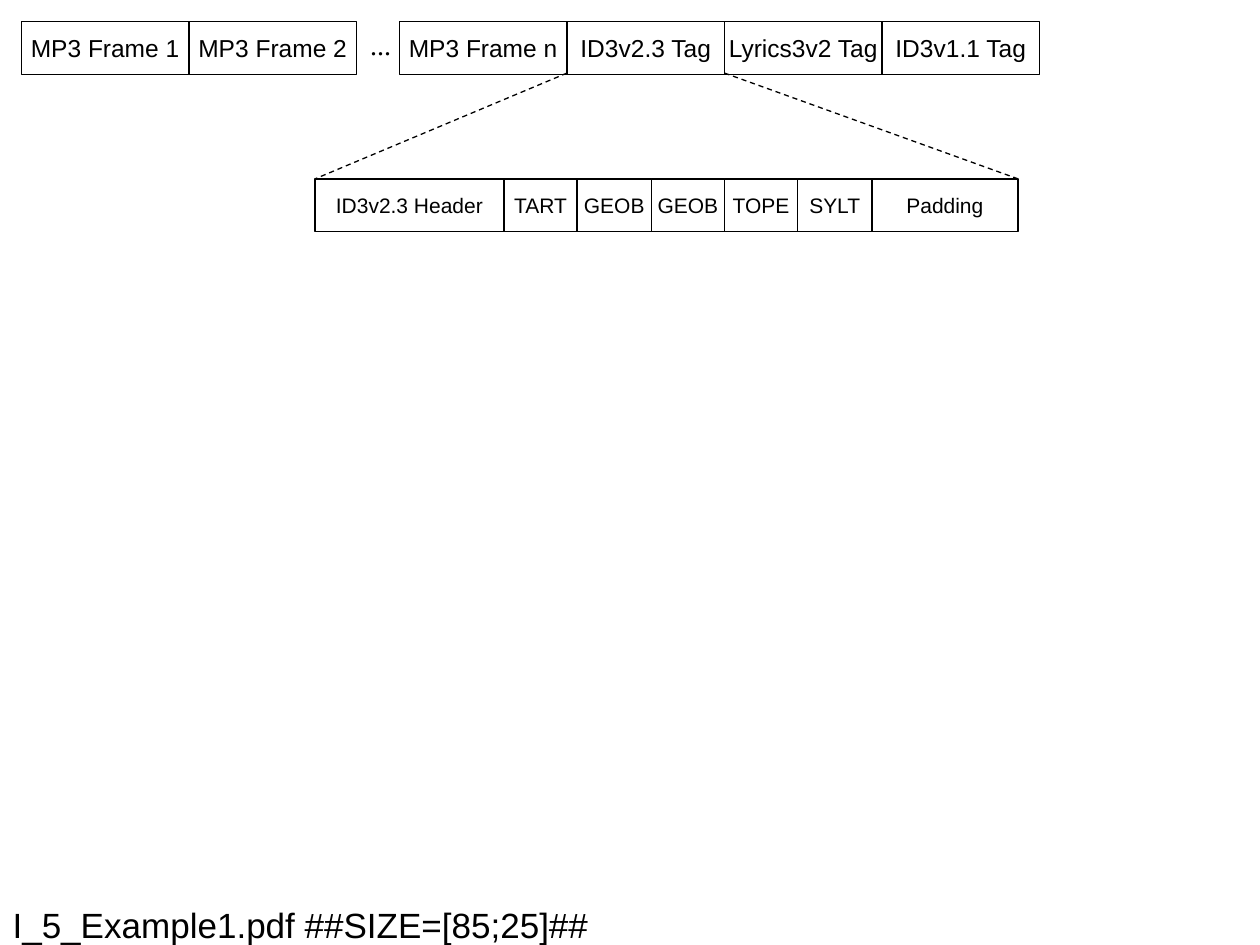
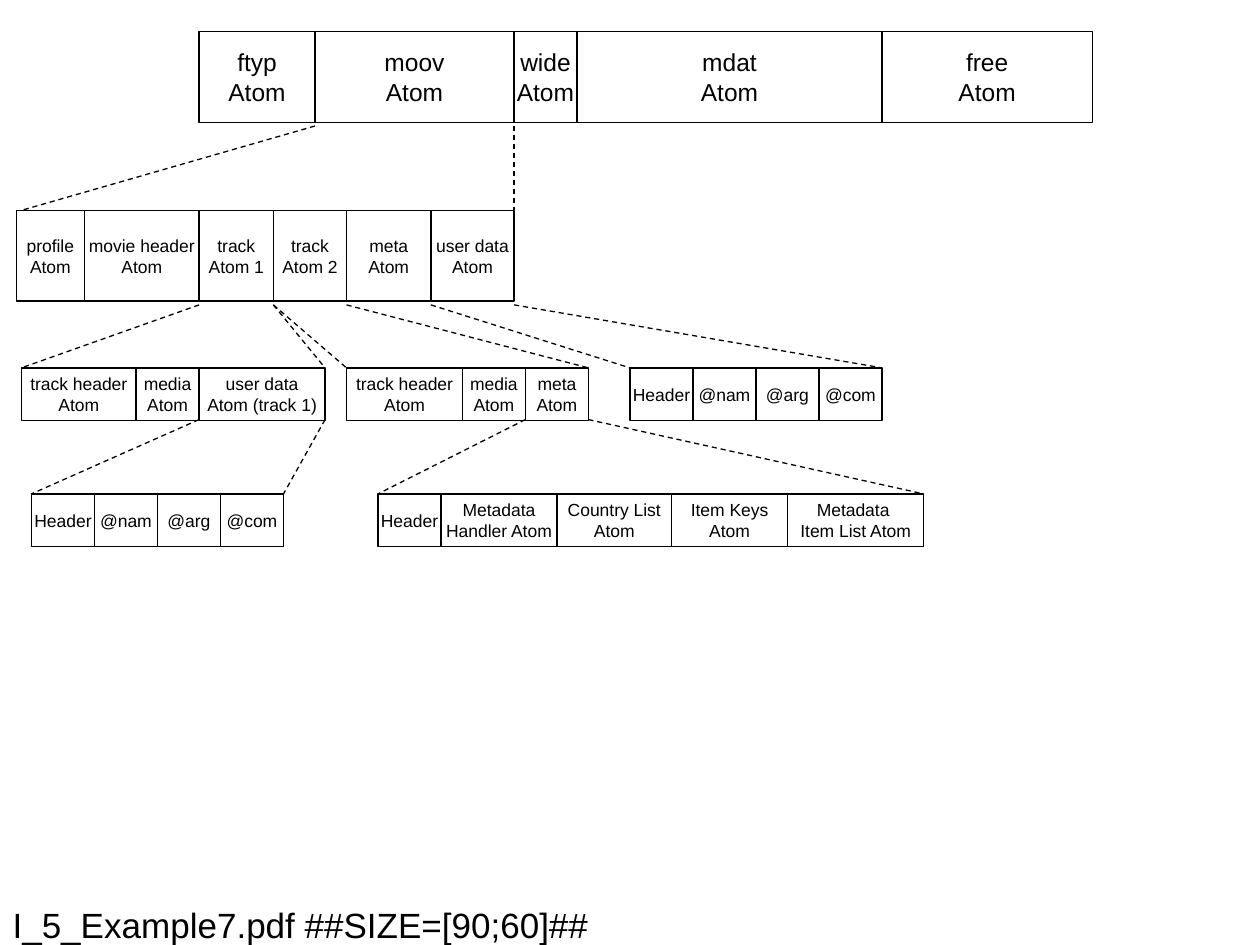
from dataclasses import dataclass
from typing import Optional

import pptx
import pptx.dml.color
import pptx.enum.dml
import pptx.enum.shapes
import pptx.enum.text
import pptx.oxml.ns
import pptx.util
from lxml import etree
from pptx.util import Inches

COLORS = {"ink": "000000"}
FONT = "Arial"
ELLIPSIS_FONT = "Times New Roman"
LINE_WIDTH = pptx.util.Pt(0.75)
INK = pptx.dml.color.RGBColor.from_string(COLORS["ink"])


@dataclass
class Row:
    """A run of adjoining cells; edges holds one x more than there are labels."""
    top: float
    height: float
    size: int
    edges: list[float]
    labels: list[str]


@dataclass
class Zoom:
    """Dashed lines that open one cell of a row into a whole row below."""
    parent: Row
    cell: int
    child: Row
    start_y: float
    child_left: Optional[float] = None


def style_font(p, size: int, name: str = FONT) -> None:
    p.font.size = pptx.util.Pt(size)
    p.font.name = name
    p.font.color.rgb = INK


def add_titled_slide(prs, title: str):
    s = prs.slides.add_slide(prs.slide_layouts[5])
    sp = s.shapes.title
    sp.left, sp.top, sp.width, sp.height = Inches(0), Inches(7.17), Inches(8.5), Inches(0.33)
    tf = sp.text_frame
    tf.auto_size = pptx.enum.text.MSO_AUTO_SIZE.NONE
    tf.vertical_anchor = pptx.enum.text.MSO_ANCHOR.MIDDLE
    p = tf.paragraphs[0]
    p.text = title
    p.alignment = pptx.enum.text.PP_ALIGN.LEFT
    style_font(p, 20)
    return s


def draw_row(s, row: Row) -> None:
    for label, left, right in zip(row.labels, row.edges, row.edges[1:]):
        sp = s.shapes.add_shape(pptx.enum.shapes.MSO_SHAPE.RECTANGLE, Inches(left),
                                Inches(row.top), Inches(right - left), Inches(row.height))
        sp.shadow.inherit = False
        sp.fill.background()
        sp.line.color.rgb = INK
        sp.line.width = LINE_WIDTH
        tf = sp.text_frame
        tf.word_wrap = False
        tf.vertical_anchor = pptx.enum.text.MSO_ANCHOR.MIDDLE
        p = tf.paragraphs[0]
        p.text = label
        p.alignment = pptx.enum.text.PP_ALIGN.CENTER
        style_font(p, row.size)


def draw_zoom(s, zoom: Zoom) -> None:
    child_left = zoom.child.edges[0] if zoom.child_left is None else zoom.child_left
    starts = zoom.parent.edges[zoom.cell:zoom.cell + 2]
    for start_x, end_x in zip(starts, (child_left, zoom.child.edges[-1])):
        line = s.shapes.add_connector(pptx.enum.shapes.MSO_CONNECTOR.STRAIGHT,
                                      Inches(start_x), Inches(zoom.start_y),
                                      Inches(end_x), Inches(zoom.child.top))
        line.line.color.rgb = INK
        line.line.width = LINE_WIDTH
        line.line.dash_style = pptx.enum.dml.MSO_LINE.DASH
        etree.SubElement(line._element.spPr, pptx.oxml.ns.qn("a:effectLst"))


def draw_diagram(s, rows: list[Row], zooms: list[Zoom]) -> None:
    for row in rows:
        draw_row(s, row)
    for zoom in zooms:
        draw_zoom(s, zoom)


def add_ellipsis(s) -> None:
    sp = s.shapes.add_textbox(Inches(2.84), Inches(0.17), Inches(0.37), Inches(0.37))
    tf = sp.text_frame
    tf.word_wrap = False
    tf.auto_size = pptx.enum.text.MSO_AUTO_SIZE.SHAPE_TO_FIT_TEXT
    p = tf.paragraphs[0]
    p.text = "..."
    style_font(p, 16, ELLIPSIS_FONT)


def build_mp3_slide(prs) -> None:
    s = add_titled_slide(prs, "I_5_Example1.pdf ##SIZE=[85;25]##")
    first_frames = Row(0.17, 0.42, 14, [0.17, 1.5, 2.83], ["MP3 Frame 1", "MP3 Frame 2"])
    file_end = Row(0.17, 0.42, 14, [3.17, 4.5, 5.75, 7, 8.25],
                   ["MP3 Frame n", "ID3v2.3 Tag", "Lyrics3v2 Tag", "ID3v1.1 Tag"])
    id3_tag = Row(1.42, 0.42, 12, [2.5, 4, 4.58, 5.17, 5.75, 6.33, 6.92, 8.08],
                  ["ID3v2.3 Header", "TART", "GEOB", "GEOB", "TOPE", "SYLT", "Padding"])
    draw_diagram(s, [first_frames, file_end, id3_tag], [Zoom(file_end, 1, id3_tag, 0.58)])
    add_ellipsis(s)


def build_atom_slide(prs) -> None:
    s = add_titled_slide(prs, "I_5_Example7.pdf ##SIZE=[90;60]##")
    tag_labels = ["Header", "@nam", "@arg", "@com"]
    movie_file = Row(0.25, 0.72, 14, [1.58, 2.5, 4.08, 4.58, 7, 8.67],
                     [f"{name}\nAtom" for name in ("ftyp", "moov", "wide", "mdat", "free")])
    moov = Row(1.67, 0.72, 10, [0.13, 0.67, 1.58, 2.17, 2.75, 3.42, 4.08],
               ["profile\nAtom", "movie header\nAtom", "track\nAtom 1", "track\nAtom 2",
                "meta\nAtom", "user data\nAtom"])
    track_1 = Row(2.92, 0.42, 10, [0.17, 1.08, 1.58, 2.58],
                  ["track header\nAtom", "media\nAtom", "user data\nAtom (track 1)"])
    track_2 = Row(2.92, 0.42, 10, [2.75, 3.67, 4.17, 4.67],
                  ["track header\nAtom", "media\nAtom", "meta\nAtom"])
    user_data = Row(2.92, 0.42, 10, [5, 5.5, 6, 6.5, 7], tag_labels)
    track_user_data = Row(3.92, 0.42, 10, [0.25, 0.75, 1.25, 1.75, 2.25], tag_labels)
    track_meta = Row(3.92, 0.42, 10, [3, 3.5, 4.42, 5.33, 6.25, 7.33],
                     ["Header", "Metadata\nHandler Atom", "Country List\nAtom",
                      "Item Keys\nAtom", "Metadata \nItem List Atom"])
    draw_diagram(
        s,
        [movie_file, moov, track_1, track_2, user_data, track_user_data, track_meta],
        [Zoom(movie_file, 1, moov, 1, child_left=0.17),
         Zoom(moov, 2, track_1, 2.42),
         Zoom(moov, 3, track_2, 2.42),
         Zoom(moov, 5, user_data, 2.42),
         Zoom(track_1, 2, track_user_data, 3.33),
         Zoom(track_2, 2, track_meta, 3.33)])


def main() -> None:
    prs = pptx.Presentation()
    prs.slide_width, prs.slide_height = Inches(10), Inches(7.5)
    build_mp3_slide(prs)
    build_atom_slide(prs)
    prs.save("out.pptx")


if __name__ == "__main__":
    main()
